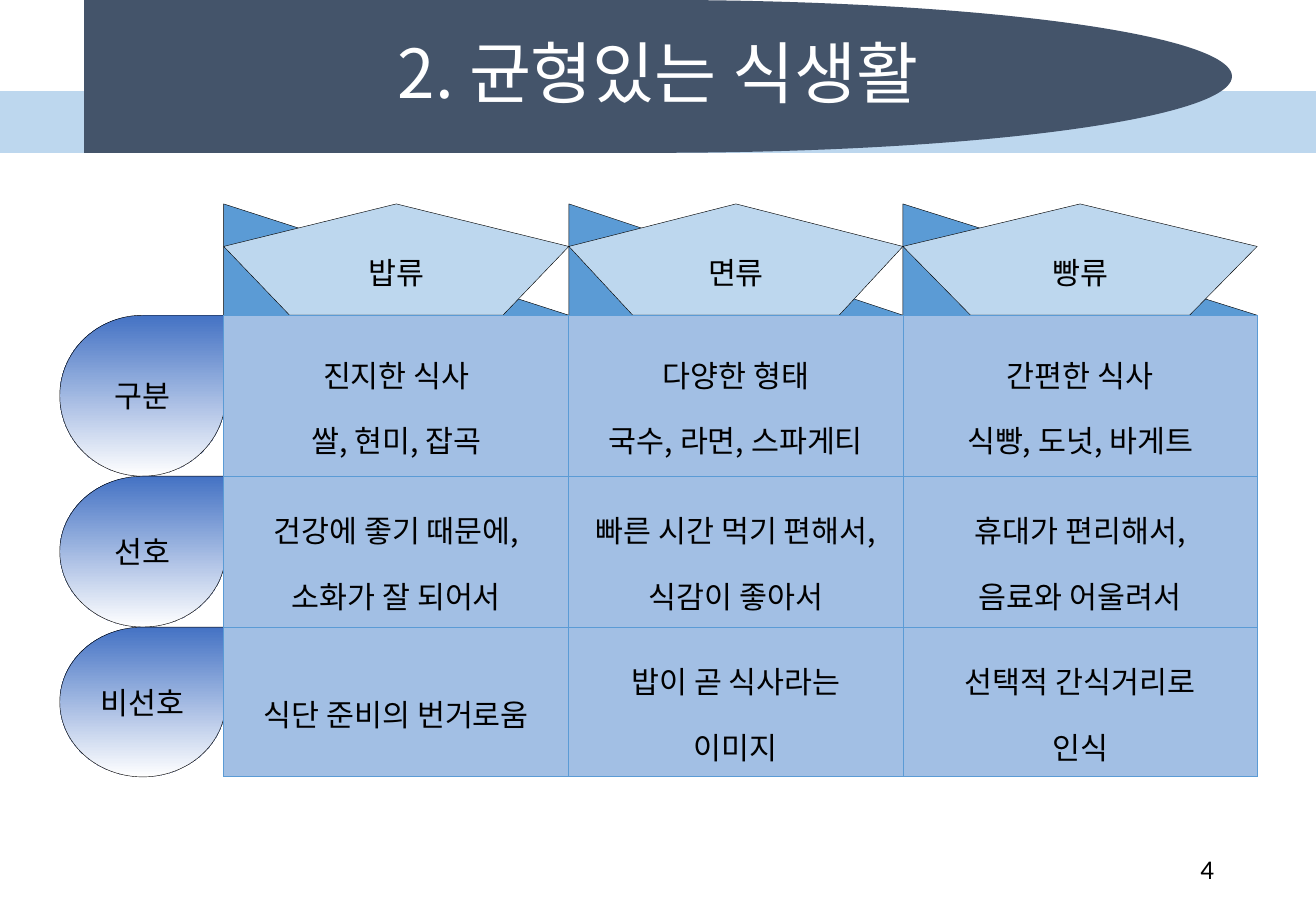
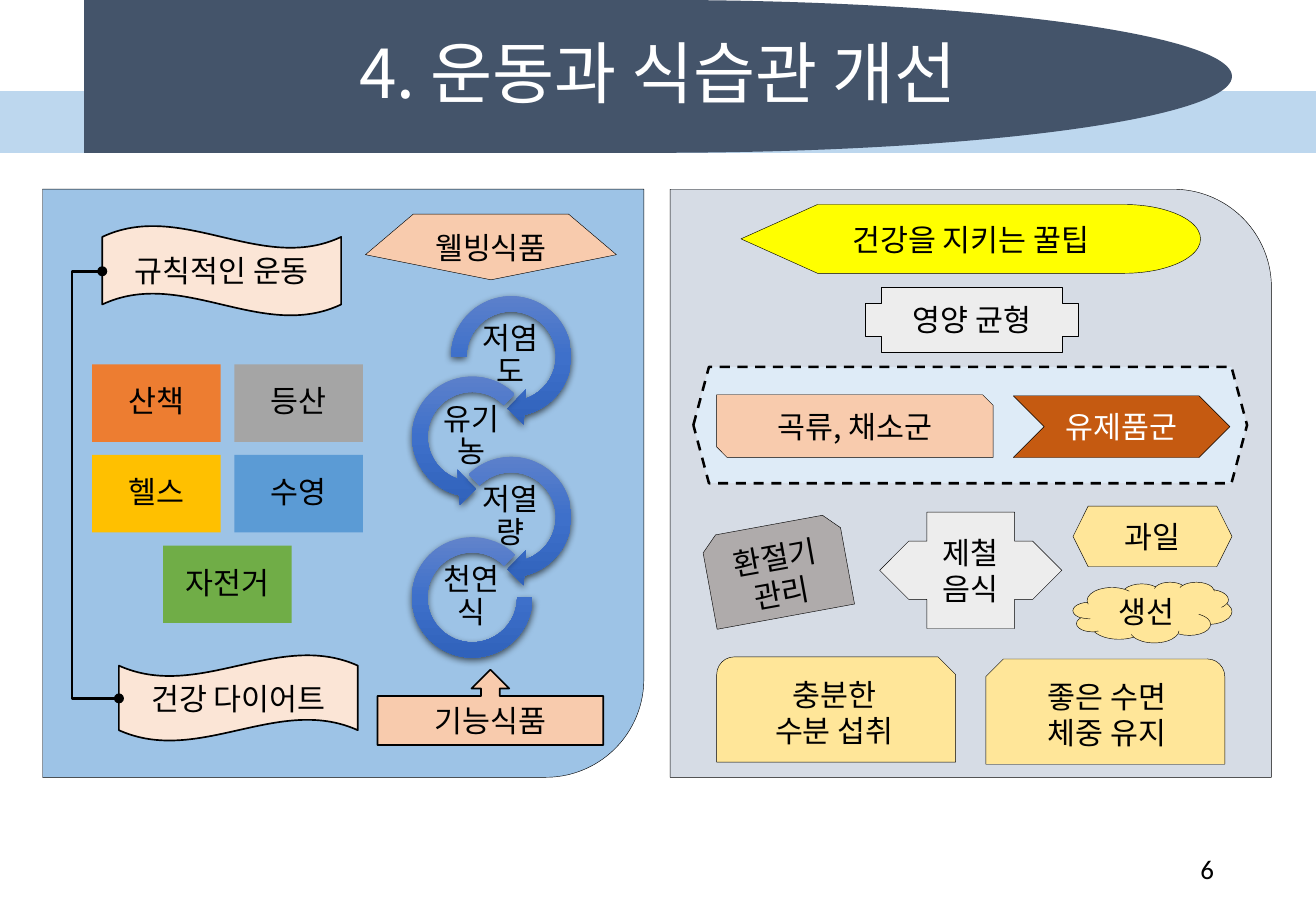
"""Build two slides on balanced eating and healthy habits, laid out on a 130 by 90 grid."""
from dataclasses import dataclass
from itertools import accumulate

from copy import deepcopy
from lxml.etree import SubElement
from pptx import Presentation
from pptx.dml.color import RGBColor
from pptx.enum.dml import MSO_LINE
from pptx.enum.shapes import MSO_CONNECTOR, MSO_SHAPE as S
from pptx.enum.text import MSO_ANCHOR, PP_ALIGN
from pptx.oxml.ns import qn
from pptx.util import Emu, Inches, Pt


@dataclass(frozen=True)
class Theme:
    font: str = "Noto Sans CJK KR"
    number_font: str = "Calibri"
    title_size: int = 40
    body_size: int = 18
    number_size: int = 16
    ink: str = "000000"
    white: str = "FFFFFF"
    navy: str = "44546A"
    pale_blue: str = "BDD7EE"
    blue: str = "5B9BD5"
    cell_blue: str = "A2BFE4"
    panel_blue: str = "9DC3E6"
    panel_gray: str = "D6DCE5"
    ice: str = "DEEBF7"
    light_gray: str = "EDEDED"
    gray: str = "A5A5A5"
    warm_gray: str = "AFABAB"
    peach: str = "F8CBAD"
    cream: str = "FBE5D6"
    rust: str = "C55A11"
    orange: str = "ED7D31"
    gold: str = "FFC000"
    sand: str = "FFE699"
    yellow: str = "FFFF00"
    green: str = "70AD47"
    label_fade: tuple = ("4472C4", "FFFFFF")
    ring_fade: tuple = ("6183CB", "3E70CA", "3062BB")


T = Theme()
COLUMNS, ROWS = 130, 90
CELL = Inches(7.5) / ROWS


def write(frame, text, size=T.body_size, color=T.ink, font=T.font, align=PP_ALIGN.CENTER, spacing=None):
    frame.word_wrap = True
    frame.vertical_anchor = MSO_ANCHOR.MIDDLE
    for index, line in enumerate(text.split("\n")):
        paragraph = frame.add_paragraph() if index else frame.paragraphs[0]
        paragraph.alignment = align
        paragraph.line_spacing = spacing
        run = paragraph.add_run()
        run.text = line
        run.font.name = font
        run.font.size = Pt(size)
        run.font.color.rgb = RGBColor.from_string(color)
        SubElement(run.font._element, qn("a:ea"), typeface=font)


def add_part(slide, kind, box, fill=None, text="", line=0.25, inset=None, flip=None, adjust=(), **style):
    place = [Emu(round(n * CELL)) for n in box]
    part = slide.shapes.add_shape(kind, *place) if kind else slide.shapes.add_textbox(*place)
    if kind:
        part.shadow.inherit = False
        if isinstance(fill, tuple):
            part.fill.gradient()
            part.fill.gradient_angle = 270
            stops = part._element.spPr.find(".//" + qn("a:gsLst"))
            while len(stops) < len(fill):
                stops.append(deepcopy(stops[0]))
            for index, stop in enumerate(part.fill.gradient_stops):
                stop.color.rgb = RGBColor.from_string(fill[index])
                stop.position = index / (len(fill) - 1)
        else:
            part.fill.solid()
            part.fill.fore_color.rgb = RGBColor.from_string(fill)
        if line:
            part.line.width = Pt(line)
            part.line.color.rgb = RGBColor.from_string(T.ink)
        else:
            part.line.fill.background()
        for index, value in enumerate(adjust):
            part.adjustments[index] = value
        if flip:
            part._element.spPr.xfrm.set(flip, "1")
    if inset is not None:
        frame = part.text_frame
        frame.margin_left = frame.margin_right = frame.margin_top = frame.margin_bottom = Inches(inset)
    if text:
        write(part.text_frame, text, **style)
    return part


deck = Presentation()
deck.slide_width, deck.slide_height = round(COLUMNS * CELL), round(ROWS * CELL)
blank = deck.slide_layouts[6]
meals, habits = (deck.slides.add_slide(blank) for _ in range(2))

HEAD = 15.1
for band in (
    add_part(meals, S.RECTANGLE, (0, 9, COLUMNS, HEAD - 9), T.pale_blue, line=0),
    add_part(meals, S.FLOWCHART_DELAY, (8.3, 0, 113.4, HEAD), T.navy, line=0),
):
    blank.shapes._spTree.append(band._element)

for slide, number, title in ((meals, "4", "2. 균형있는 식생활"), (habits, "6", "4. 운동과 식습관 개선")):
    add_part(slide, None, (91.8, 83.4, 29.3, 4.8), text=number, size=T.number_size,
             font=T.number_font, align=PP_ALIGN.RIGHT)
    add_part(slide, None, (0, 0, COLUMNS, HEAD), text=title, size=T.title_size, color=T.white, spacing=0.9)

foods = ("밥류", "면류", "빵류")
topics = ("구분", "선호", "비선호")
answers = (
    ("진지한 식사\n쌀, 현미, 잡곡", "다양한 형태\n국수, 라면, 스파게티", "간편한 식사\n식빵, 도넛, 바게트"),
    ("건강에 좋기 때문에,\n소화가 잘 되어서", "빠른 시간 먹기 편해서,\n식감이 좋아서", "휴대가 편리해서,\n음료와 어울려서"),
    ("식단 준비의 번거로움", "밥이 곧 식사라는\n이미지", "선택적 간식거리로\n인식"),
)
food_widths, topic_heights = (34.1, 33, 35), (15.9, 14.9, 14.8)
food_lefts = list(accumulate(food_widths, initial=22.1))
topic_tops = list(accumulate(topic_heights, initial=31.15))

for food, left, width in zip(foods, food_lefts, food_widths):
    header = (left, 20.15, width, 11)
    add_part(meals, S.RIGHT_TRIANGLE, header, T.blue)
    add_part(meals, S.REGULAR_PENTAGON, header, T.pale_blue, food)
for topic, top, height in zip(topics, topic_tops, topic_heights):
    add_part(meals, S.TEAR, (5.9, top, 16.4, height), T.label_fade, topic)

grid_box = (food_lefts[0], topic_tops[0], sum(food_widths), sum(topic_heights))
answer_grid = meals.shapes.add_table(3, 3, *(Emu(round(n * CELL)) for n in grid_box)).table
answer_grid.first_row = answer_grid.horz_banding = False
for index in range(3):
    answer_grid.columns[index].width = Emu(round(food_widths[index] * CELL))
    answer_grid.rows[index].height = Emu(round(topic_heights[index] * CELL))
    for column, answer in enumerate(answers[index]):
        cell = answer_grid.cell(index, column)
        write(cell.text_frame, answer, spacing=1.5)
        cell.vertical_anchor = MSO_ANCHOR.MIDDLE
        properties = cell._tc.get_or_add_tcPr()
        for side in ("lnL", "lnR", "lnT", "lnB"):
            border = SubElement(properties, qn("a:" + side), w=str(Pt(0.5)))
            SubElement(SubElement(border, qn("a:solidFill")), qn("a:srgbClr"), val=T.blue)
        cell.fill.solid()
        cell.fill.fore_color.rgb = RGBColor.from_string(T.cell_blue)

PANEL_TOP, PANEL_WIDTH, PANEL_HEIGHT = 18.7, 59.4, 58.1
add_part(habits, S.ROUND_1_RECTANGLE, (66.2, PANEL_TOP, PANEL_WIDTH, PANEL_HEIGHT), T.panel_gray)
food_group = add_part(habits, S.HEXAGON, (68.5, 36.25, 54.7, 11.5), T.ice, line=1.5, adjust=(0.134,))
food_group.line.dash_style = MSO_LINE.DASH
add_part(habits, S.LEFT_RIGHT_ARROW_CALLOUT, (86.9, 50.6, 18, 11.5), T.light_gray, "제철음식",
         adjust=(0.5, 0.25, 0.25, 0.481))
season_care = add_part(habits, S.SNIP_2_SAME_RECTANGLE, (69.9, 51.8, 13.8, 9.2), T.warm_gray, "환절기 관리")
season_care.rotation = 349.6
for kind, box, fill, tip in (
    (S.SNIP_2_DIAG_RECTANGLE, (70.8, 39, 27.3, 6.2), T.peach, "곡류, 채소군"),
    (S.FLOWCHART_DISPLAY, (73.2, 20.2, 45.4, 6.8), T.yellow, "건강을 지키는 꿀팁"),
    (S.CROSS, (85.5, 28.4, 21, 6.4), T.light_gray, "영양 균형"),
    (S.SNIP_ROUND_RECTANGLE, (70.8, 64.9, 23.6, 10.4), T.sand, "충분한\n수분 섭취"),
    (S.HEXAGON, (106, 50, 15.7, 6), T.sand, "과일"),
    (S.CLOUD, (106, 57.5, 15.7, 6), T.sand, "생선"),
):
    add_part(habits, kind, box, fill, tip)
add_part(habits, S.CHEVRON, (100.1, 39.1, 21.4, 6.1), T.rust, "유제품군", color=T.white)
add_part(habits, S.SNIP_ROUND_RECTANGLE, (97.4, 65.1, 23.6, 10.4), T.sand, "좋은 수면\n체중 유지", flip="flipH")

add_part(habits, S.ROUND_1_RECTANGLE, (4.2, PANEL_TOP, PANEL_WIDTH, PANEL_HEIGHT), T.panel_blue, flip="flipV")
RING, RING_STEP = 13.8, 7.94
for index, (kind, quality, trim, adjust) in enumerate((
    (S.CIRCULAR_ARROW, "저염도", 0, (0.11, 11.42, 45, 108, 0.125)),
    (S.LEFT_CIRCULAR_ARROW, "유기농", 0, (0.11, 11.42, 63, 189, 0.125)),
    (S.CIRCULAR_ARROW, "저열량", 0, (0.11, 11.42, 45, 135, 0.125)),
    (S.BLOCK_ARC, "천연식", 0.95, (0, 189, 0.127)),
)):
    left, top = (43.6, 39.75)[index % 2], 28.3 + index * RING_STEP
    ring = add_part(habits, kind, (left + trim, top + trim, RING - 2 * trim, RING - 2 * trim),
                    T.ring_fade, line=0, adjust=adjust)
    shadow = SubElement(ring._element.spPr.find(qn("a:effectLst")), qn("a:outerShdw"), blurRad=str(Pt(4.5)),
                        dist=str(Pt(1.5)), dir="5400000", algn="ctr", rotWithShape="0")
    SubElement(SubElement(shadow, qn("a:srgbClr"), val=T.ink), qn("a:alpha"), val="63000")
    add_part(habits, None, (left + 3, top + 5, 7.7, 3.8), text=quality, inset=0.01, spacing=0.9)

add_part(habits, S.REGULAR_PENTAGON, (36.1, 21.15, 24.8, 6.5), T.peach, flip="flipV")
add_part(habits, None, (39.4, 22, 18.2, 4.8), text="웰빙식품")
add_part(habits, S.WAVE, (11.75, 64.7, 23.6, 8.5), T.cream, "건강 다이어트", line=1, flip="flipH")
add_part(habits, S.WAVE, (10.1, 22.3, 23.6, 8.9), T.cream, "규칙적인 운동", line=1)
add_part(habits, S.UP_ARROW_CALLOUT, (37.3, 66.15, 22.3, 7.45), T.peach, "기능식품", line=1)

routine_link = habits.shapes.add_connector(
    MSO_CONNECTOR.ELBOW, *(Emu(round(n * CELL)) for n in (10.1, 26.8, 11.75, 69)))
routine_link.line.width = Pt(1.5)
routine_link.line.color.rgb = RGBColor.from_string(T.ink)
link_properties = routine_link._element.spPr
SubElement(link_properties, qn("a:effectLst"))
bend = link_properties.find(".//" + qn("a:avLst"))
SubElement(bend, qn("a:gd"), name="adj1", fmla="val -180000")
for end in ("headEnd", "tailEnd"):
    SubElement(link_properties.find(qn("a:ln")), qn("a:" + end), type="oval")

for exercise, fill, column, row in (
    ("산책", T.orange, 0, 0), ("등산", T.gray, 1, 0), ("헬스", T.gold, 0, 1),
    ("수영", T.blue, 1, 1), ("자전거", T.green, 0.5, 2),
):
    add_part(habits, S.RECTANGLE, (9.1 + 14.05 * column, 36 + 8.95 * row, 12.7, 7.65), fill, exercise,
             line=0, inset=0.07, spacing=0.9)

deck.save("out.pptx")
